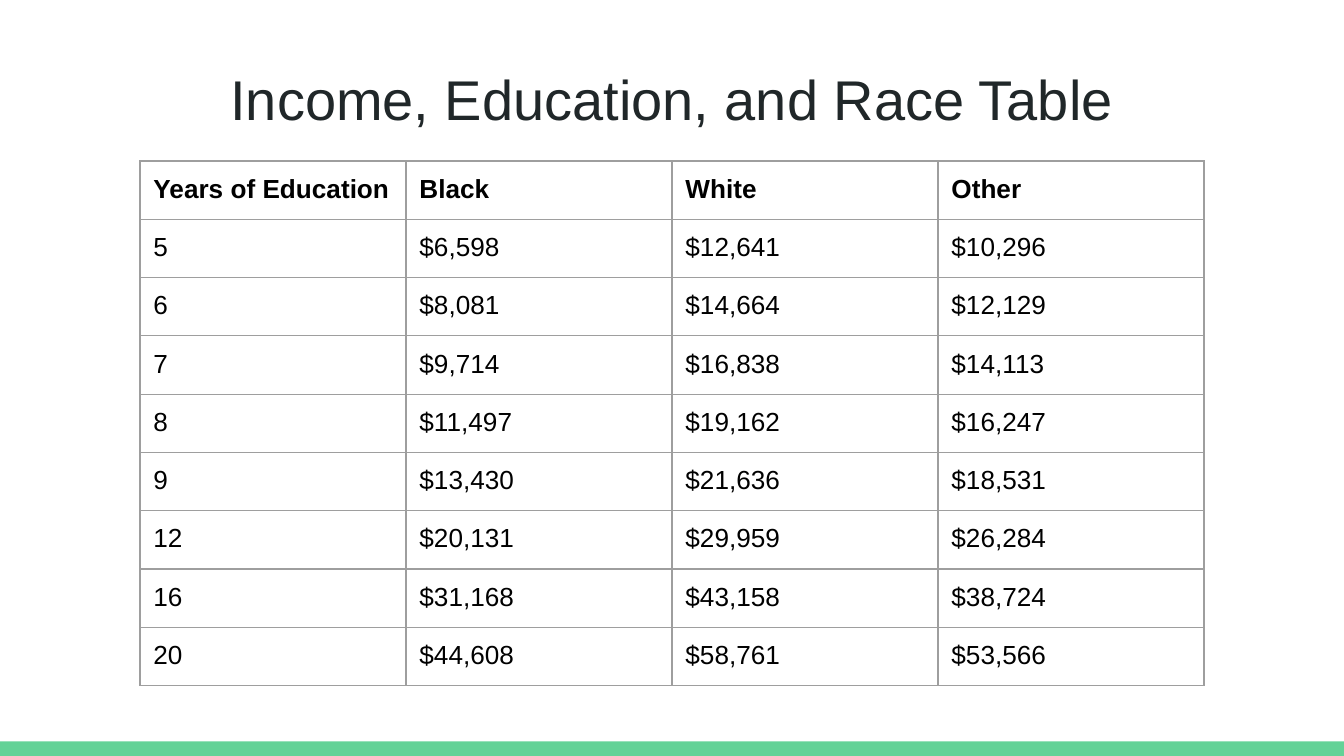
from lxml.etree import SubElement
from pptx import Presentation
from pptx.dml.color import RGBColor
from pptx.enum.shapes import MSO_SHAPE
from pptx.enum.text import PP_ALIGN
from pptx.oxml.ns import qn
from pptx.util import Pt

HEAD = ["Years of Education", "Black", "White", "Other"]
ROWS = [
    ["5", "$6,598", "$12,641", "$10,296"],
    ["6", "$8,081", "$14,664", "$12,129"],
    ["7", "$9,714", "$16,838", "$14,113"],
    ["8", "$11,497", "$19,162", "$16,247"],
    ["9", "$13,430", "$21,636", "$18,531"],
    ["12", "$20,131", "$29,959", "$26,284"],
    ["16", "$31,168", "$43,158", "$38,724"],
    ["20", "$44,608", "$58,761", "$53,566"],
]


def tint(code):
    return RGBColor.from_string(code)


class Page:
    """Draws styled elements on one slide."""

    face = "Arial"
    ink = "000000"
    dark = "202729"
    green = "63D297"
    rule = "9E9E9E"
    inset = Pt(7.2)

    def __init__(self, slide):
        self.slide = slide

    def style(self, para, size, color, bold=False):
        font = para.font
        font.name = self.face
        font.size = Pt(size)
        font.bold = bold
        font.color.rgb = tint(color)

    def pad(self, item):
        item.margin_left = item.margin_right = self.inset
        item.margin_top = item.margin_bottom = self.inset

    def bar(self, left, top, width, height):
        shape = self.slide.shapes.add_shape(
            MSO_SHAPE.RECTANGLE, Pt(left), Pt(top), Pt(width), Pt(height))
        shape.shadow.inherit = False
        shape.fill.solid()
        shape.fill.fore_color.rgb = tint(self.green)
        shape.line.fill.background()

    def title(self, text, left, top, width, height):
        box = self.slide.shapes.add_textbox(
            Pt(left), Pt(top), Pt(width), Pt(height))
        frame = box.text_frame
        frame.word_wrap = True
        self.pad(frame)
        para = frame.paragraphs[0]
        para.text = text
        para.alignment = PP_ALIGN.CENTER
        para.line_spacing = 1.1
        self.style(para, 30, self.dark)

    def border(self, cell):
        props = cell._tc.get_or_add_tcPr()
        for place, side in enumerate(("lnL", "lnR", "lnT", "lnB")):
            line = SubElement(props, qn(f"a:{side}"), w=str(Pt(0.75)))
            fill = SubElement(line, qn("a:solidFill"))
            SubElement(fill, qn("a:srgbClr"), val=self.rule)
            props.insert(place, line)

    def table(self, rows, left, top, wide, high):
        count, span = len(rows), len(rows[0])
        grid = self.slide.shapes.add_table(
            count, span, Pt(left), Pt(top),
            Pt(wide * span), Pt(high * count)).table
        grid.horz_banding = False
        for r, row in enumerate(rows):
            for c, text in enumerate(row):
                cell = grid.cell(r, c)
                cell.fill.background()
                self.pad(cell)
                self.border(cell)
                para = cell.text_frame.paragraphs[0]
                para.text = text
                self.style(para, 14, self.ink, bold=r == 0)


def main():
    deck = Presentation()
    deck.slide_width, deck.slide_height = Pt(720), Pt(405)
    page = Page(deck.slides.add_slide(deck.slide_layouts[6]))
    page.bar(0, 397.2, 720, 7.8)
    page.title("Income, Education, and Race Table", 24.5, 24, 671, 45)
    page.table([HEAD] + ROWS, 75, 86.2, 142.5, 21)
    deck.save("out.pptx")


if __name__ == "__main__":
    main()
